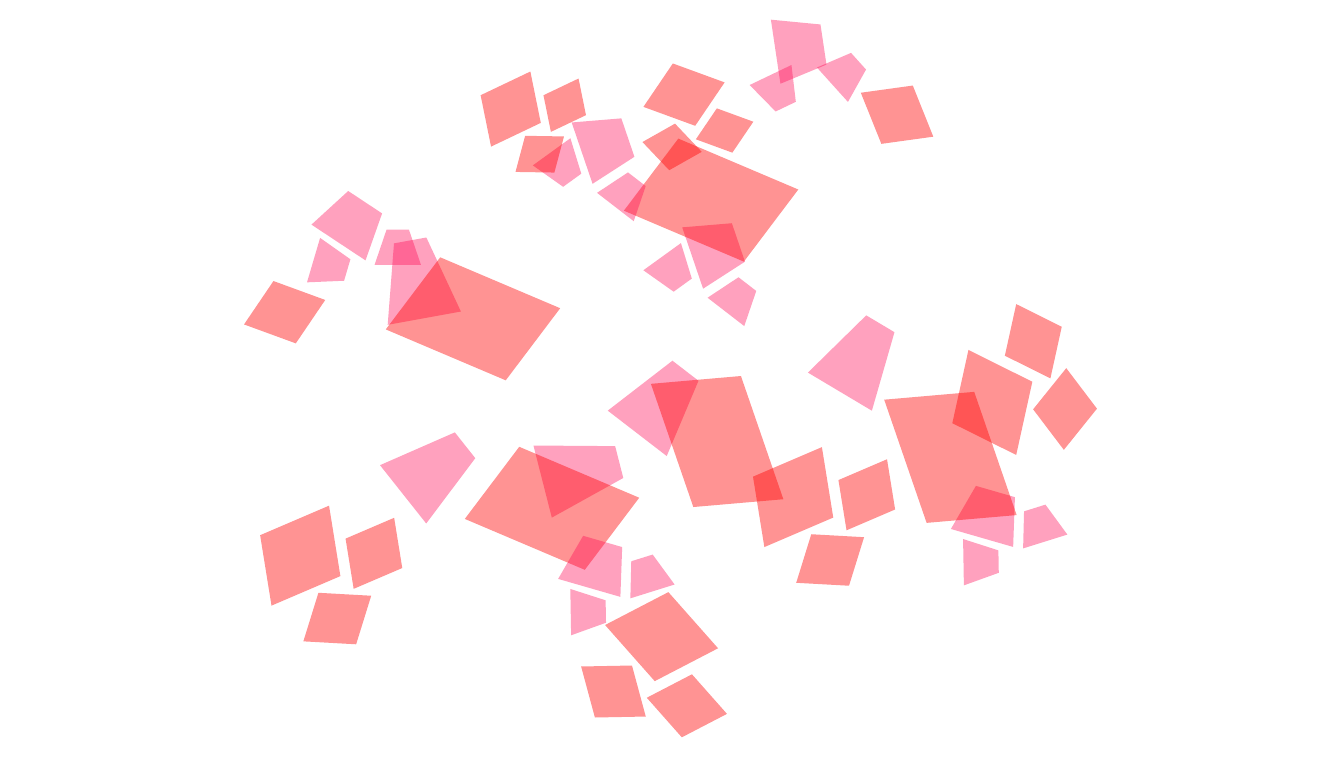
from math import cos, radians, sin

from lxml import etree
from pptx import Presentation
from pptx.dml.color import RGBColor
from pptx.enum.shapes import MSO_SHAPE as Shape
from pptx.oxml.ns import qn
from pptx.util import Cm

PINK = RGBColor(0xFF, 0x09, 0x55)
RED = RGBColor(0xFF, 0x05, 0x05)
PINK_OPACITY = 38
RED_OPACITY = 43
SMALL = 0.735  # small tiles relative to full-size ones


def rotate(x, y, angle):
    turn = radians(angle)
    return x * cos(turn) - y * sin(turn), x * sin(turn) + y * cos(turn)


class Mosaic:
    """Places translucent pieces by centre (cm) and clockwise angle (degrees)."""

    def __init__(self, slide):
        self.slide = slide

    def piece(self, kind, x, y, width, height, angle, color, opacity, slant=0.25):
        shape = self.slide.shapes.add_shape(
            kind, Cm(x - width / 2), Cm(y - height / 2), Cm(width), Cm(height))
        shape.adjustments[0] = slant
        shape.rotation = angle % 360
        shape.shadow.inherit = False
        shape.line.fill.background()
        shape.fill.solid()
        shape.fill.fore_color.rgb = color
        color_element = shape._element.spPr.find(qn("a:solidFill"))[0]
        etree.SubElement(color_element, qn("a:alpha")).set("val", str(opacity * 1000))

    def trapezoid(self, x, y, width, height, angle, slant):
        self.piece(Shape.TRAPEZOID, x, y, width, height, angle, PINK, PINK_OPACITY, slant)

    def parallelogram(self, x, y, width, height, angle):
        self.piece(Shape.PARALLELOGRAM, x, y, width, height, angle, RED, RED_OPACITY)

    def kite(self, x, y, angle):
        self.trapezoid(x, y, 3.71, 3.94, angle, 0.279)

    def slab(self, x, y, angle):
        self.parallelogram(x, y, 7.59, 4.37, angle)

    def tile(self, x, y, angle, scale=1.0):
        self.parallelogram(x, y, 4.6 * scale, 3.45 * scale, angle)

    def petals(self, x, y, angle, orbit=None):
        """One large petal and two small ones; orbit turns only their positions."""
        orbit = angle if orbit is None else orbit
        self.trapezoid(x, y, 3.23, 2.41, angle + 33.5, 0.25)
        for offset_x, offset_y, twist in ((2.29, 1.24, 0), (-1.07, 2.13, 106.4)):
            step_x, step_y = rotate(offset_x, offset_y, orbit)
            self.trapezoid(x + step_x, y + step_y, 2.31, 1.75, angle + twist, 0.341)

    def tiles(self, x, y, angle, scale=1.0):
        """One large tile with a small one beside it and a twisted one below."""
        self.tile(x, y, angle, scale)
        for offset_x, offset_y, twist in ((3.42, 1.34, 0), (0.46, 3.61, 26.4)):
            step_x, step_y = rotate(offset_x * scale, offset_y * scale, angle)
            self.parallelogram(x + step_x, y + step_y,
                               3.25 * scale, 2.46 * scale, angle + twist)


def main():
    presentation = Presentation()
    presentation.slide_width = Cm(67)
    presentation.slide_height = Cm(38)
    mosaic = Mosaic(presentation.slides.add_slide(presentation.slide_layouts[6]))

    mosaic.petals(17.54, 11.09, 0)
    mosaic.tile(14.19, 15.57, 20.1, SMALL)
    mosaic.tiles(34.1, 4.72, 20.1, SMALL)
    for x, y, angle in ((20.8, 13.93, -10.3), (42.88, 17.84, 30.8),
                        (28.96, 23.53, 75.7), (21.64, 23.43, 51.6)):
        mosaic.kite(x, y, angle)
    mosaic.petals(35.67, 12.48, 37.7)
    for x, y in ((39.54, 24.79), (14.97, 27.71)):
        mosaic.tiles(x, y, -23.2)
    for x, y in ((35.45, 9.98), (23.58, 15.9), (27.52, 25.35)):
        mosaic.slab(x, y, 23)
    mosaic.petals(39.86, 2.4, 48, orbit=0)
    mosaic.tile(44.72, 5.72, 68.1, SMALL)
    mosaic.kite(32.97, 20.05, 37.6)
    mosaic.slab(35.75, 22.02, 71)
    mosaic.petals(49.29, 25.67, -17.4)
    mosaic.tiles(49.47, 20.07, -77.6)
    mosaic.slab(47.38, 22.81, 71)
    mosaic.petals(30.16, 7.25, 37.7)
    mosaic.tiles(25.46, 5.44, -25.5, SMALL)
    mosaic.petals(29.71, 28.16, -17.4)
    mosaic.tiles(32.98, 31.75, 48.5)

    presentation.save("out.pptx")


if __name__ == "__main__":
    main()
